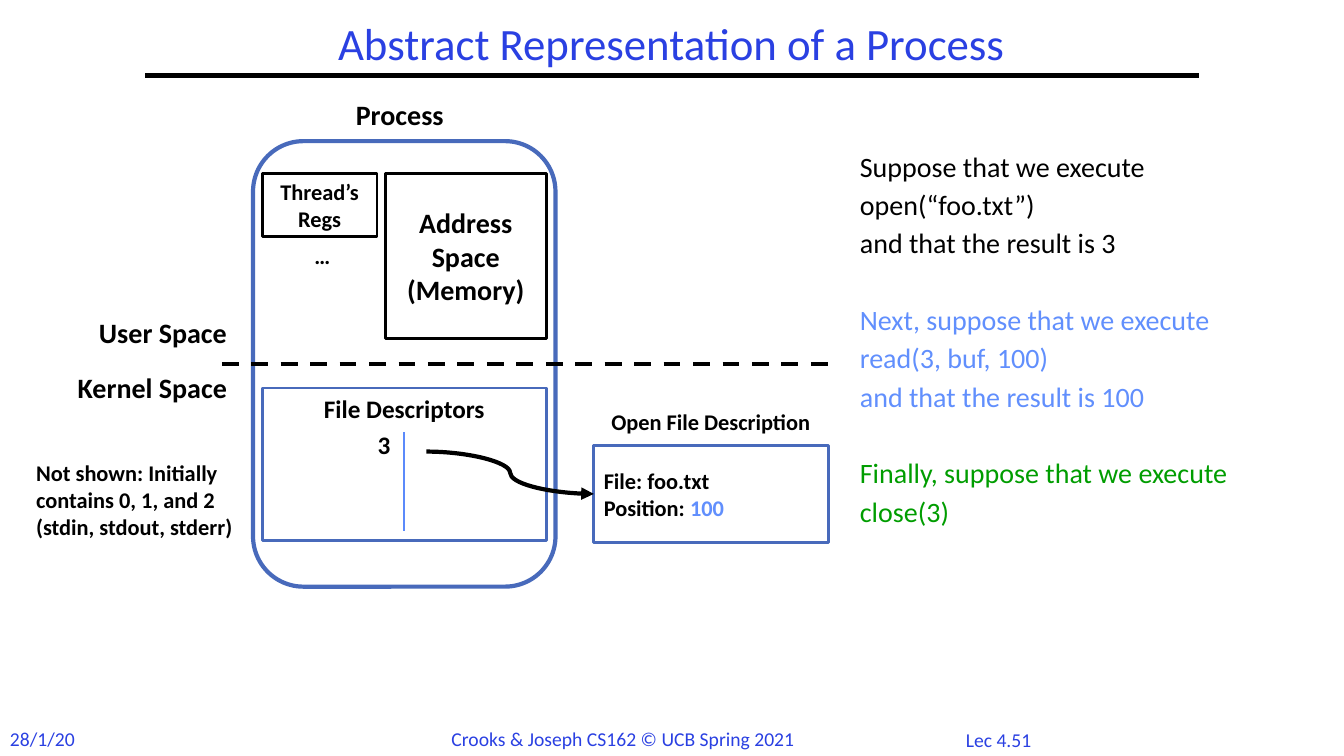
"""Build the slide on the abstract representation of a process."""
from dataclasses import dataclass
from typing import Optional

import lxml.etree
import pptx
import pptx.dml.color
import pptx.enum.dml
import pptx.enum.shapes
import pptx.enum.text
import pptx.oxml.ns
import pptx.util

PX = 9144
SHAPE = pptx.enum.shapes.MSO_SHAPE
CONN = pptx.enum.shapes.MSO_CONNECTOR
LEFT, CENTER, RIGHT = (pptx.enum.text.PP_ALIGN.LEFT, pptx.enum.text.PP_ALIGN.CENTER,
                       pptx.enum.text.PP_ALIGN.RIGHT)
TOP, MIDDLE = pptx.enum.text.MSO_ANCHOR.TOP, pptx.enum.text.MSO_ANCHOR.MIDDLE


@dataclass(frozen=True)
class Theme:
    font: str = "Calibri"
    ink: str = "000000"
    paper: str = "FFFFFF"
    title: str = "2A40E2"
    frame: str = "486ABB"
    divider: str = "5B8AFB"
    read: str = "618FFD"
    close: str = "009D00"
    title_size: int = 32
    large: int = 20
    medium: int = 18
    small: int = 16
    footer: int = 14
    spacing: float = 0.9
    step_gap: float = 5.7
    group_gap: float = 33.3


T = Theme()


@dataclass(frozen=True)
class Label:
    x: int
    y: int
    w: int
    h: int
    lines: tuple[str, ...]
    size: int = T.small
    align: int = LEFT
    color: str = T.ink
    bold: bool = True
    wrap: bool = False
    anchor: int = TOP
    spacing: Optional[float] = None


@dataclass(frozen=True)
class Box:
    label: Label
    line: str
    width: int = 2
    fill: Optional[str] = T.paper
    kind: int = SHAPE.RECTANGLE


@dataclass(frozen=True)
class Line:
    x1: int
    y1: int
    x2: int
    y2: int
    color: str = T.ink
    width: float = 3
    dashed: bool = False
    arrow: bool = False
    kind: int = CONN.STRAIGHT


@dataclass(frozen=True)
class Step:
    lines: tuple[str, ...]
    color: str


LABELS = (
    Label(942, 717, 97, 33, ("Lec 4.51",), T.footer, CENTER, T.title, False),
    Label(0, 716, 85, 34, ("28/1/20",), T.footer, LEFT, T.title, False),
    Label(438, 716, 363, 34, ("Crooks & Joseph CS162 © UCB Spring 2021",),
          T.footer, LEFT, T.title, False),
    Label(144, 17, 1044, 58, ("Abstract Representation of a Process",), T.title_size,
          CENTER, T.title, False, True, MIDDLE, T.spacing),
    Label(62, 308, 173, 44, ("User Space",), T.large, RIGHT),
    Label(37, 363, 198, 44, ("Kernel Space",), T.large, RIGHT),
    Label(26, 451, 221, 118,
          ("Not shown: Initially contains 0, 1, and 2 (stdin, stdout, stderr)",), wrap=True),
    Label(363, 421, 34, 40, ("3",), T.medium, RIGHT),
    Label(579, 400, 252, 37, ("Open File Description",), align=CENTER),
    Label(332, 92, 129, 44, ("Process",), T.large, CENTER),
    Label(302, 235, 43, 37, ("…",)),
)
BOXES = (
    Box(Label(251, 140, 300, 442, ()), T.frame, 3, None, SHAPE.ROUNDED_RECTANGLE),
    Box(Label(382, 172, 160, 164, ("Address Space (Memory)",), T.large, CENTER,
              wrap=True, anchor=MIDDLE), T.ink),
    Box(Label(260, 172, 114, 63, ("Thread’s Regs",), align=CENTER,
              wrap=True, anchor=MIDDLE), T.ink),
    Box(Label(260, 385, 282, 151, ("File Descriptors",), T.medium, CENTER, wrap=True), T.frame),
)
OPEN_FILE = Box(Label(589, 442, 233, 96, ("File: foo.txt", "Position: "),
                      wrap=True, anchor=MIDDLE), T.frame)
LINES = (
    Line(144, 75, 1189, 75),
    Line(220, 361, 822, 361, dashed=True),
    Line(401, 429, 401, 527, T.divider, 1.5),
)
POINTER = Line(423, 448, 589, 490, arrow=True, kind=CONN.CURVE)
STEPS = (
    Step(("Suppose that we execute", "open(“foo.txt”)", "and that the result is 3"), T.ink),
    Step(("Next, suppose that we execute", "read(3, buf, 100)",
          "and that the result is 100"), T.read),
    Step(("Finally, suppose that we execute", "close(3)"), T.close),
)
STEPS_AREA = Label(843, 147, 415, 476, tuple(t for s in STEPS for t in s.lines), T.large,
                   bold=False, wrap=True, spacing=T.spacing)


def rgb(color: str) -> pptx.dml.color.RGBColor:
    """Turn a hex colour into an RGB value."""
    return pptx.dml.color.RGBColor.from_string(color)


def write(tf, label: Label) -> None:
    """Fill a text frame with the paragraphs of a label."""
    tf.word_wrap = label.wrap
    tf.vertical_anchor = label.anchor
    for i, text in enumerate(label.lines):
        p = tf.add_paragraph() if i else tf.paragraphs[0]
        p.add_run().text = text
        p.alignment = label.align
        p.line_spacing = label.spacing
        p.font.name = T.font
        p.font.size = pptx.util.Pt(label.size)
        p.font.bold = label.bold
        p.font.color.rgb = rgb(label.color)


def add_label(slide, label: Label):
    """Add a text box and return it."""
    sp = slide.shapes.add_textbox(*(v * PX for v in (label.x, label.y, label.w, label.h)))
    write(sp.text_frame, label)
    return sp


def add_box(slide, box: Box):
    """Add an outlined shape with its text and return it."""
    b = box.label
    sp = slide.shapes.add_shape(box.kind, *(v * PX for v in (b.x, b.y, b.w, b.h)))
    sp.shadow.inherit = False
    if box.fill:
        sp.fill.solid()
        sp.fill.fore_color.rgb = rgb(box.fill)
    else:
        sp.fill.background()
    sp.line.color.rgb = rgb(box.line)
    sp.line.width = pptx.util.Pt(box.width)
    write(sp.text_frame, b)
    return sp


def add_line(slide, line: Line):
    """Add a connector without a shadow and return it."""
    cx = slide.shapes.add_connector(line.kind, *(v * PX for v in (line.x1, line.y1, line.x2, line.y2)))
    cx.line.color.rgb = rgb(line.color)
    cx.line.width = pptx.util.Pt(line.width)
    if line.dashed:
        cx.line.dash_style = pptx.enum.dml.MSO_LINE.DASH
    qn = pptx.oxml.ns.qn
    if line.arrow:
        lxml.etree.SubElement(cx.line._get_or_add_ln(), qn("a:tailEnd"), type="triangle")
    lxml.etree.SubElement(cx._element.spPr, qn("a:effectLst"))
    return cx


def add_steps(slide) -> None:
    """Add the narrated system calls, one colour and gap per group."""
    paragraphs = iter(add_label(slide, STEPS_AREA).text_frame.paragraphs)
    for i, step in enumerate(STEPS):
        for j, p in zip(range(len(step.lines)), paragraphs):
            p.space_before = pptx.util.Pt(T.group_gap if i and not j else T.step_gap)
            p.font.color.rgb = rgb(step.color)


def main() -> None:
    """Draw the slide and save it."""
    prs = pptx.Presentation()
    prs.slide_width, prs.slide_height = 1333 * PX, 750 * PX
    slide = prs.slides.add_slide(prs.slide_layouts[6])
    for box in BOXES:
        add_box(slide, box)
    open_file = add_box(slide, OPEN_FILE)
    r = open_file.text_frame.paragraphs[1].add_run()
    r.text = "100"
    r.font.color.rgb = rgb(T.read)
    for line in LINES:
        add_line(slide, line)
    add_line(slide, POINTER).end_connect(open_file, 1)
    for label in LABELS:
        add_label(slide, label)
    add_steps(slide)
    prs.save("out.pptx")


if __name__ == "__main__":
    main()
